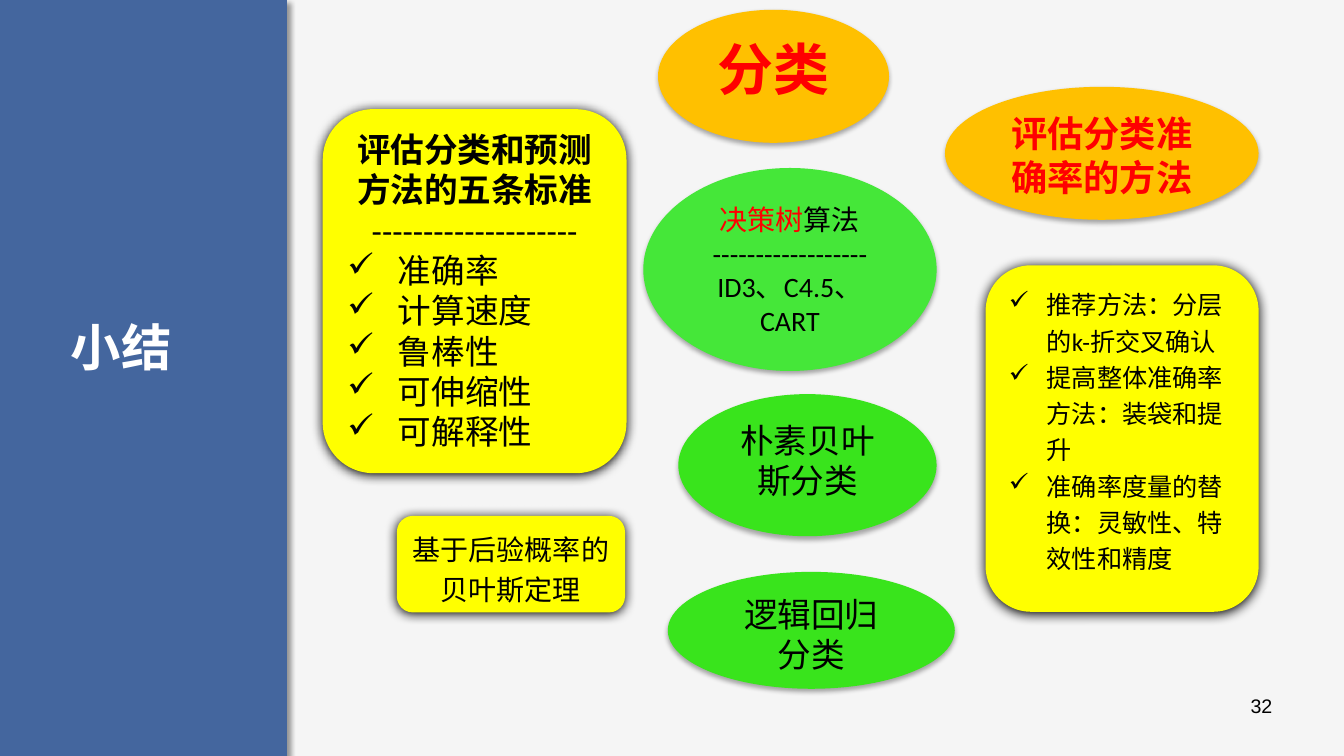
from lxml import etree
from pptx import Presentation
from pptx.dml.color import RGBColor
from pptx.enum import shapes, text
from pptx.oxml import ns
from pptx.util import Pt


def rgb(value):
    return RGBColor.from_string(value)


def add_block(kind, box, fill, shadow):
    """Add a borderless shape; shadow is (opacity %, blur, distance, angle)."""
    block = slide.shapes.add_shape(kind, *map(Pt, box))
    block.fill.solid()
    block.fill.fore_color.rgb = rgb(fill)
    block.line.fill.background()
    block.shadow.inherit = False
    opacity, blur, distance, angle = shadow
    effects = block.element.spPr.find(ns.qn("a:effectLst"))
    outer = etree.SubElement(effects, ns.qn("a:outerShdw"), blurRad=str(Pt(blur)),
                             dist=str(Pt(distance)), dir=str(angle * 60000),
                             algn="ctr", rotWithShape="0")
    black = etree.SubElement(outer, ns.qn("a:srgbClr"), val="000000")
    etree.SubElement(black, ns.qn("a:alpha"), val=str(opacity * 1000))
    return block


deck = Presentation()
deck.slide_width, deck.slide_height = Pt(960), Pt(540)
slide = deck.slides.add_slide(deck.slide_layouts[5])
slide.background.fill.solid()
slide.background.fill.fore_color.rgb = rgb("F5F5F5")

# Side panel with the title on top of it
add_block(shapes.MSO_SHAPE.RECTANGLE, (0, 0, 205, 540), "44669E", (40, 4, 3, 45))
title = slide.shapes.title
title.element.getparent().append(title.element)
title.left, title.top, title.width, title.height = Pt(4), Pt(222), Pt(165), Pt(51)
title.text_frame.text = "小结"
title.text_frame.vertical_anchor = text.MSO_ANCHOR.MIDDLE
heading = title.text_frame.paragraphs[0]
heading.alignment = text.PP_ALIGN.CENTER
heading.font.name, heading.font.size, heading.font.bold = "Arial", Pt(36), True
heading.font.color.rgb = rgb("FFFFFF")

# Page number
page = slide.shapes.add_textbox(Pt(700), Pt(489.5), Pt(216), Pt(29))
page.text_frame.word_wrap = True
page.text_frame.vertical_anchor = text.MSO_ANCHOR.MIDDLE
number = page.text_frame.paragraphs[0]
number.text = "32"
number.alignment = text.PP_ALIGN.RIGHT
number.font.name, number.font.size = "Arial", Pt(14)
number.font.color.rgb = rgb("000000")

# Topics (ellipses) and notes (rounded cards)
OVAL, CARD = shapes.MSO_SHAPE.OVAL, shapes.MSO_SHAPE.ROUNDED_RECTANGLE
SHADOWS = {OVAL: (32, 3.5, 2.2, 90), CARD: (100, 8.5, 1, 90)}
ORANGE, GREEN, LIME, YELLOW = "FFC000", "39E41C", "45E739", "FFFF00"
BLACK, RED = "000000", "FF0000"
# kind, box, fill, text size, text colour, line spacing, bullet indent, lines
# In lines, "*" marks bold, "✓" a bullet, and "|" ends a red opening
topics = [
    (OVAL, (484.5, 281.5, 184.5, 101.5), GREEN, 24, BLACK, 1, 0, ["朴素贝叶斯分类"]),
    (OVAL, (477, 408.5, 205, 83.5), GREEN, 24, BLACK, 1, 0, ["逻辑回归", "分类"]),
    (OVAL, (675, 62, 224, 95), ORANGE, 25.9, RED, 1, 0, ["*评估分类准确率的方法"]),
    (OVAL, (459.5, 120, 209.5, 145), LIME, 20, BLACK, 1, 0,
     ["决策树|算法", "------------------", "ID3、C4.5、CART"]),
    (CARD, (283.5, 368.5, 163, 69), YELLOW, 20, BLACK, 1.2, 0,
     ["基于后验概率的贝叶斯定理"]),
    (CARD, (230.5, 78, 217, 260), YELLOW, 24, BLACK, 1, 36,
     ["*评估分类和预测方法的五条标准", "--------------------", "✓准确率",
      "✓计算速度", "✓鲁棒性", "✓可伸缩性", "✓可解释性"]),
    (CARD, (704, 189.5, 195, 247.5), YELLOW, 18, BLACK, 1.2, 27,
     ["✓推荐方法：分层的k-折交叉确认", "✓提高整体准确率方法：装袋和提升",
      "✓准确率度量的替换：灵敏性、特效性和精度"]),
    (OVAL, (470, 7, 165, 95), ORANGE, 40, RED, 1, 0, ["*分类"]),
]
for kind, box, fill, size, colour, spacing, indent, lines in topics:
    frame = add_block(kind, box, fill, SHADOWS[kind]).text_frame
    frame.word_wrap = True
    frame.vertical_anchor = text.MSO_ANCHOR.TOP
    for index, line in enumerate(lines):
        paragraph = frame.add_paragraph() if index else frame.paragraphs[0]
        paragraph.alignment = text.PP_ALIGN.CENTER
        paragraph.line_spacing = spacing
        if line.startswith("✓"):
            paragraph.alignment = text.PP_ALIGN.LEFT
            settings = paragraph._p.get_or_add_pPr()
            settings.set("marL", str(Pt(indent)))
            settings.set("indent", str(-Pt(indent)))
            etree.SubElement(settings, ns.qn("a:buChar"), char="✓")
        paragraph.font.name, paragraph.font.size = "Calibri", Pt(size)
        paragraph.font.bold = line.startswith("*")
        paragraph.font.color.rgb = rgb(colour)
        opening, _, rest = line.lstrip("*✓").rpartition("|")
        if opening:
            accent = paragraph.add_run()
            accent.text = opening
            accent.font.color.rgb = rgb(RED)
        paragraph.add_run().text = rest

deck.save("out.pptx")
